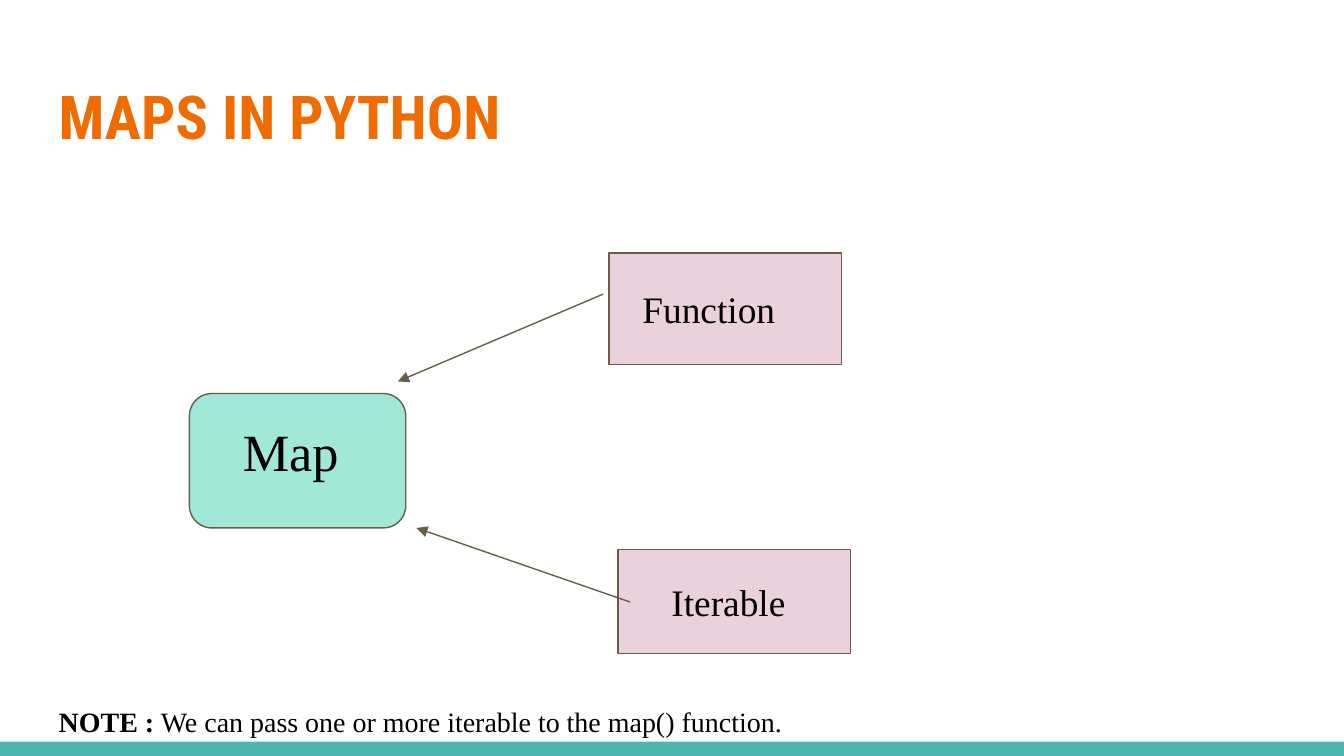
import pptx
import pptx.dml.color
import pptx.enum.shapes
import pptx.enum.text
import pptx.oxml.ns
import pptx.util
from lxml import etree

Cm = pptx.util.Cm
Pt = pptx.util.Pt
SHAPE = pptx.enum.shapes.MSO_SHAPE

COLORS = {
    "bar": "4DB6AC",
    "title": "EF6C00",
    "map": "A1E8D9",
    "input": "EAD1DC",
    "line": "695D46",
    "text": "000000",
}
SERIF = "Times New Roman"
INSET = 0.25


def rgb(name):
    """Return the named colour."""
    return pptx.dml.color.RGBColor.from_string(COLORS[name])


class Diagram:
    """Holds the slide and the style of its elements."""

    def __init__(self, slide):
        """Keep the slide to draw on."""
        self.slide = slide

    def box(self, place, fill, kind=SHAPE.RECTANGLE, outlined=True):
        """Add a filled box, with or without an outline."""
        shape = self.slide.shapes.add_shape(kind, *map(Cm, place))
        shape.shadow.inherit = False
        shape.fill.solid()
        shape.fill.fore_color.rgb = rgb(fill)
        if outlined:
            shape.line.color.rgb = rgb("line")
            shape.line.width = Pt(0.75)
        else:
            shape.line.fill.background()

    def text(self, place, parts, size, font=SERIF, color="text", indent=0):
        """Add one line of text from (words, bold) parts."""
        frame = self.slide.shapes.add_textbox(*map(Cm, place)).text_frame
        frame.word_wrap = True
        frame.vertical_anchor = pptx.enum.text.MSO_ANCHOR.TOP
        frame.margin_top = frame.margin_right = frame.margin_bottom = Cm(INSET)
        frame.margin_left = Cm(INSET + indent)
        for words, bold in parts:
            run = frame.paragraphs[0].add_run()
            run.text = words
            run.font.name = font
            run.font.size = Pt(size)
            run.font.bold = bold
            run.font.color.rgb = rgb(color)

    def arrow(self, start, end):
        """Add a thin line with a triangle at its end."""
        line = self.slide.shapes.add_connector(
            pptx.enum.shapes.MSO_CONNECTOR.STRAIGHT, *map(Cm, start + end))
        line.line.color.rgb = rgb("line")
        line.line.width = Pt(0.75)
        qn = pptx.oxml.ns.qn
        head = etree.SubElement(line.line._get_or_add_ln(), qn("a:tailEnd"))
        head.set("type", "triangle")
        etree.SubElement(line._element.spPr, qn("a:effectLst"))


def main():
    """Build and save the slide."""
    deck = pptx.Presentation()
    deck.slide_width, deck.slide_height = Cm(25.4), Cm(14.29)
    diagram = Diagram(deck.slides.add_slide(deck.slide_layouts[6]))

    diagram.box((0, 14.02, 25.4, 0.28), "bar", outlined=False)
    diagram.text((0.86, 1.24, 23.67, 1.96), [("MAPS IN PYTHON", True)],
                 32.4, "Roboto Condensed", "title")
    diagram.text((0.86, 13.07, 23.67, 1.15), [
        ("NOTE :", True),
        (" We can pass one or more iterable to the map() function.", False),
    ], 15)

    diagram.box((3.58, 7.44, 4.09, 2.54), "map", SHAPE.ROUNDED_RECTANGLE)
    diagram.box((11.51, 4.78, 4.39, 2.11), "input")
    diagram.box((11.68, 10.39, 4.39, 1.96), "input")

    labels = [
        ("Map", (4.09, 7.67, 3.25, 1.7), 28, 0.25),
        ("Function", (11.71, 5.16, 4.09, 2.24), 20, 0.18),
        ("Iterable", (11.91, 10.69, 4.09, 1.37), 20, 0.53),
    ]
    for words, place, size, indent in labels:
        diagram.text(place, [(words, False)], size, indent=indent)

    diagram.arrow((11.91, 11.38), (7.87, 9.98))
    diagram.arrow((11.4, 5.56), (7.52, 7.21))
    deck.save("out.pptx")


main()
